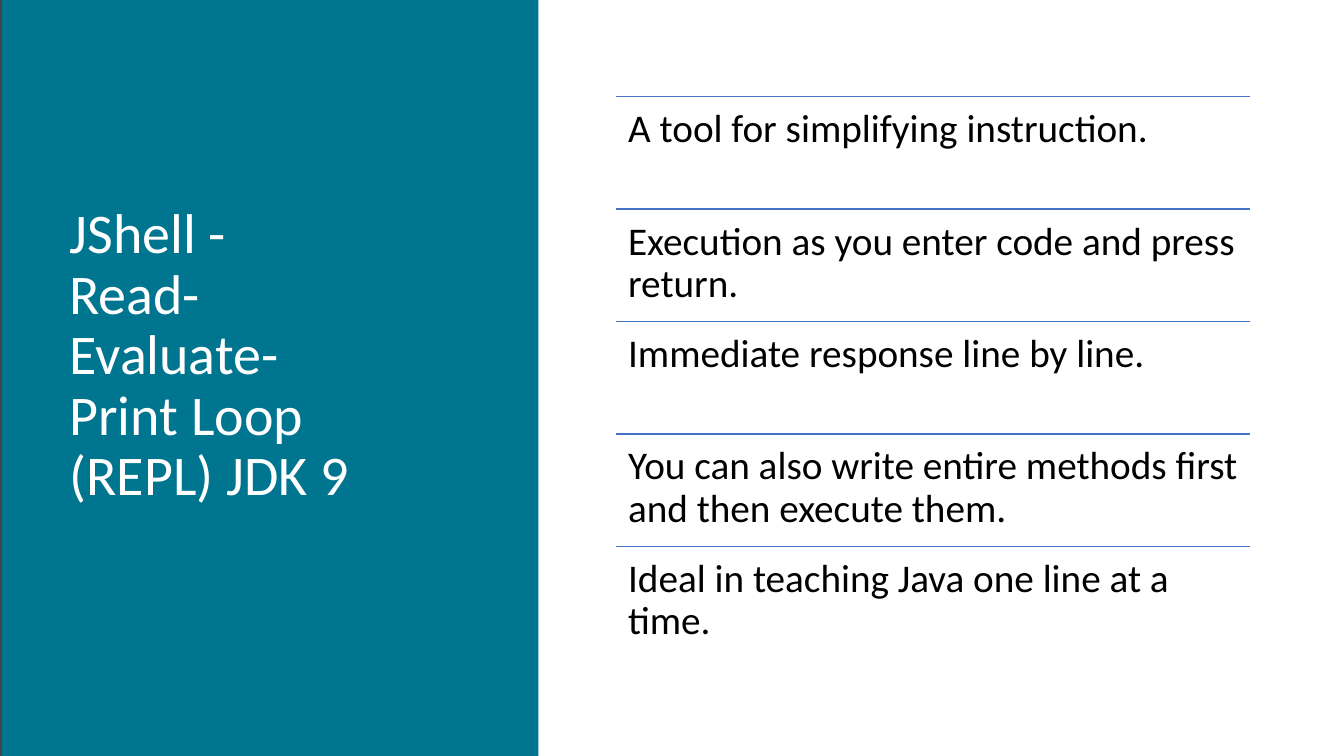
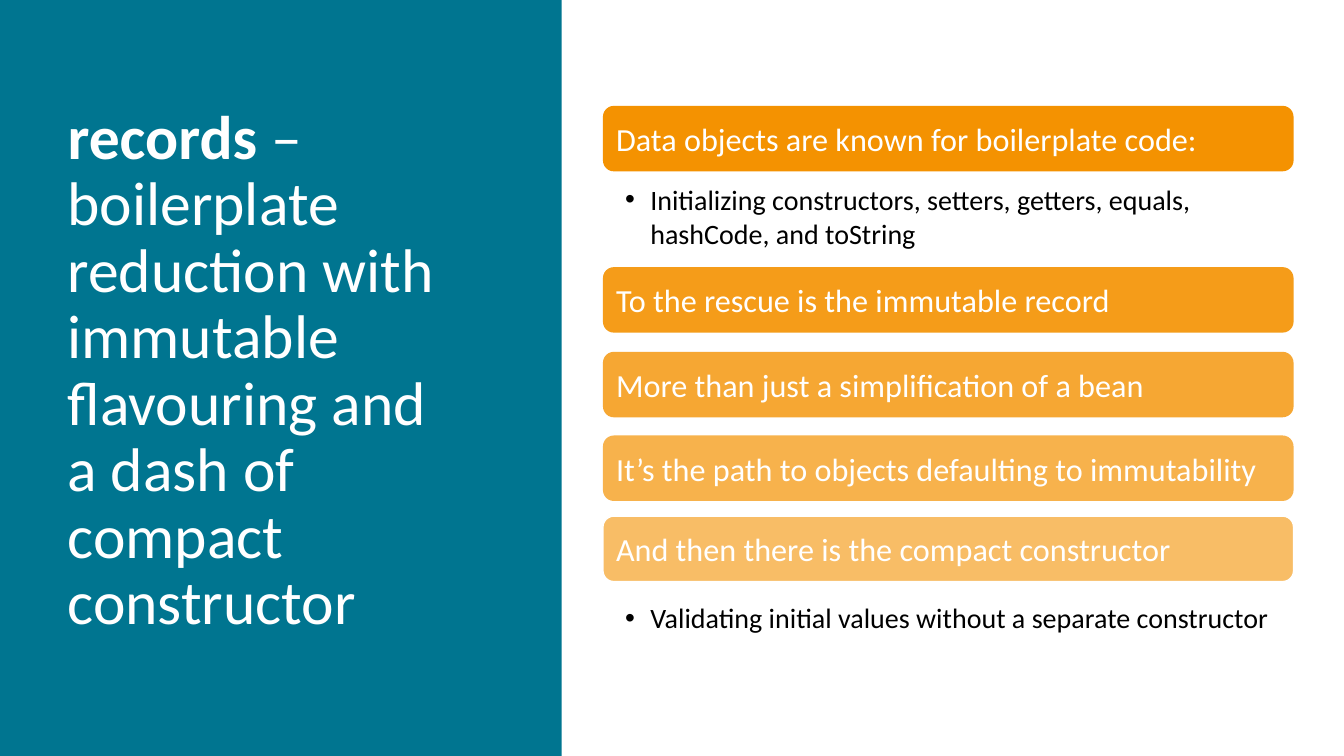
from lxml import etree
from pptx import Presentation
from pptx.dml.color import RGBColor
from pptx.enum.shapes import MSO_CONNECTOR, MSO_SHAPE
from pptx.enum.text import MSO_ANCHOR, MSO_AUTO_SIZE, PP_ALIGN
from pptx.oxml.ns import qn
from pptx.util import Inches, Pt

RECT, ROUND = MSO_SHAPE.RECTANGLE, MSO_SHAPE.ROUNDED_RECTANGLE
STRAIGHT = MSO_CONNECTOR.STRAIGHT
TOP, MIDDLE = MSO_ANCHOR.TOP, MSO_ANCHOR.MIDDLE
LEFT, NO_FIT = PP_ALIGN.LEFT, MSO_AUTO_SIZE.NONE

FONT = "Calibri"
TEAL, ORANGE, BLUE, GREY = "007590", "F49201", "4472C4", "454545"
WHITE, BLACK = "FFFFFF", "000000"

JSHELL_TITLE = ["JShell - Read-Evaluate-Print Loop (REPL) JDK 9"]
JSHELL_ROWS = [
    "A tool for simplifying instruction.",
    "Execution as you enter code and press return.",
    "Immediate response line by line.",
    "You can also write entire methods first and then execute them.",
    "Ideal in teaching Java one line at a time.",
]
RECORDS_TITLE = ["records", " – boilerplate reduction with immutable flavouring "
                 "and a dash of compact constructor"]
RECORDS_BARS = [
    (1.05, "Data objects are known for boilerplate code:"),
    (2.65, "To the rescue is the immutable record"),
    (3.49, "More than just a simplification of a bean"),
    (4.32, "It’s the path to objects defaulting to immutability"),
    (5.12, "And then there is the compact constructor"),
]
RECORDS_NOTES = [
    (1.78, 0.74, "Initializing constructors, setters, getters, equals, hashCode, and toString"),
    (5.93, 0.42, "Validating initial values without a separate constructor"),
]


def rgb(color):
    return RGBColor.from_string(color)


def box(*lengths):
    return [Inches(n) for n in lengths]


def style(tf, size, color, anchor=TOP, spacing=1.0, insets=(0.1, 0.05, 0.1, 0.05)):
    tf.word_wrap = True
    tf.auto_size = NO_FIT
    tf.vertical_anchor = anchor
    tf.margin_left, tf.margin_top, tf.margin_right, tf.margin_bottom = box(*insets)
    p = tf.paragraphs[0]
    p.alignment = LEFT
    p.line_spacing = spacing
    for r in p.runs:
        r.font.name = FONT
        r.font.size = Pt(size)
        r.font.color.rgb = rgb(color)
    return p


def add_block(slide, kind, place, color):
    sp = slide.shapes.add_shape(kind, *box(*place))
    sp.shadow.inherit = False
    sp.fill.solid()
    sp.fill.fore_color.rgb = rgb(color)
    sp.line.fill.background()
    return sp


def add_text(slide, place, text, size, color, **options):
    tf = slide.shapes.add_textbox(*box(*place)).text_frame
    tf.text = text
    return style(tf, size, color, **options)


def add_rule(slide, left, right, y):
    line = slide.shapes.add_connector(STRAIGHT, *box(left, y, right, y))
    line.line.color.rgb = rgb(BLUE)
    line.line.width = Pt(1)
    etree.SubElement(line._element.spPr, qn("a:effectLst"))


def set_alpha(sp, percent):
    color = sp._element.spPr.find(".//" + qn("a:srgbClr"))
    etree.SubElement(color, qn("a:alpha")).set("val", str(percent * 1000))


def set_bullet(p, indent):
    pPr = p._p.get_or_add_pPr()
    pPr.set("marL", str(Inches(indent)))
    pPr.set("indent", str(-Inches(indent)))
    etree.SubElement(pPr, qn("a:buFont")).set("typeface", "Arial")
    etree.SubElement(pPr, qn("a:buChar")).set("char", "•")


def add_slide(band, title_place, title_runs, size):
    slide = prs.slides.add_slide(prs.slide_layouts[5])
    panel = add_block(slide, RECT, band, TEAL)
    slide.shapes._spTree.insert(2, panel._element)
    title = slide.shapes.title
    title.left, title.top, title.width, title.height = box(*title_place)
    for text in title_runs:
        title.text_frame.paragraphs[0].add_run().text = text
    p = style(title.text_frame, size, WHITE, anchor=MIDDLE, spacing=0.9)
    p.runs[0].font.bold = len(title_runs) > 1
    return slide


prs = Presentation()
prs.slide_width, prs.slide_height = box(13.33, 7.5)

s = add_slide((0.02, 0, 5.32, 7.5), (0.59, 0.75, 3.04, 5.58), JSHELL_TITLE, 40)
add_block(s, RECT, (0, 0, 0.02, 7.5), GREY)
row_left, row_top, row_w, row_h = 6.11, 0.96, 6.29, 1.115
for i, text in enumerate(JSHELL_ROWS):
    y = row_top + i * row_h
    add_rule(s, row_left, row_left + row_w, y)
    add_text(s, (row_left, y, row_w, row_h), text, 28, BLACK,
             spacing=0.9, insets=(0.12,) * 4)

s = add_slide((0, 0, 5.57, 7.5), (0.57, 0.68, 4.16, 6.02), RECORDS_TITLE, 44)
bar_left, bar_w, bar_h = 5.98, 6.85, 0.65
for i, (y, text) in enumerate(RECORDS_BARS):
    bar = add_block(s, ROUND, (bar_left, y, bar_w, bar_h), ORANGE)
    set_alpha(bar, 100 - 10 * i)
    bar.text_frame.text = text
    style(bar.text_frame, 23, WHITE, anchor=MIDDLE, insets=(0.1,) * 4)
bar.line.color.rgb = rgb(WHITE)
bar.line.width = Pt(1)
for y, height, text in RECORDS_NOTES:
    p = add_text(s, (bar_left, y, bar_w, height), text, 20, BLACK,
                 insets=(0.22, 0.03, 0.16, 0.03))
    set_bullet(p, 0.25)

prs.save("out.pptx")
